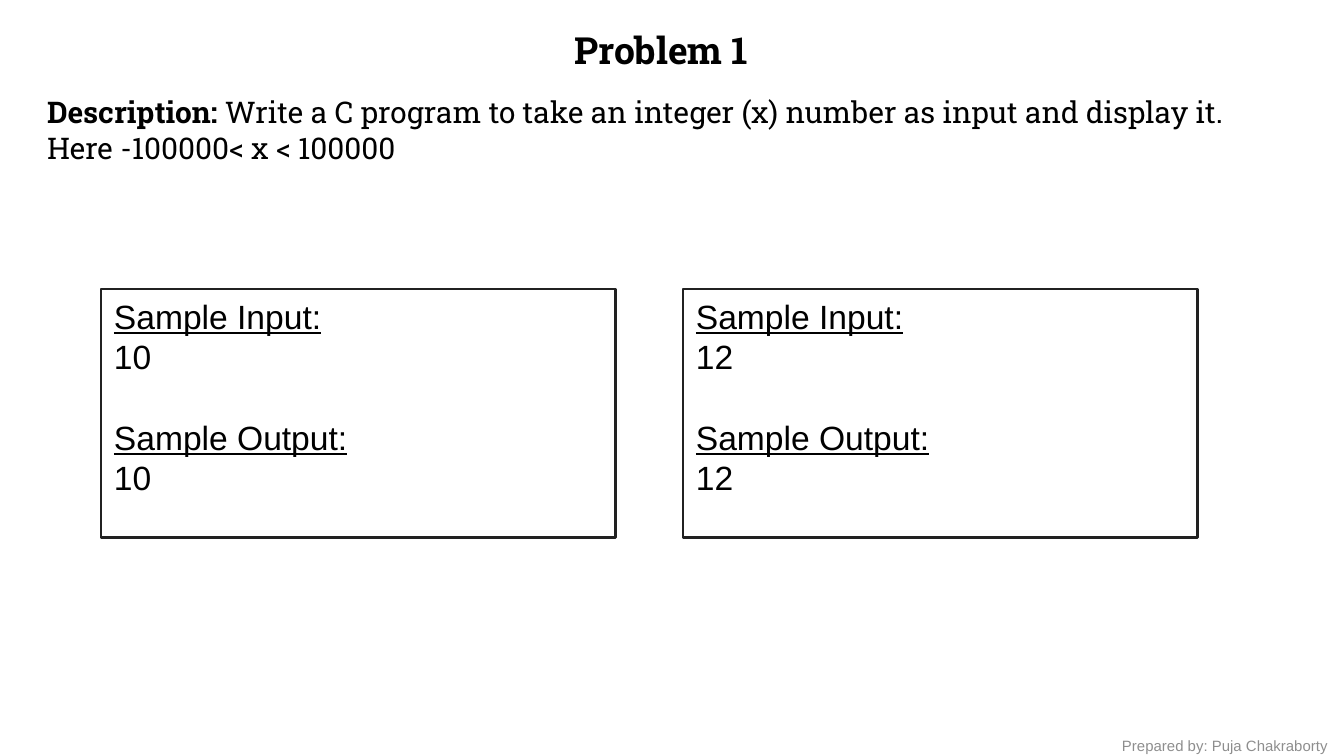
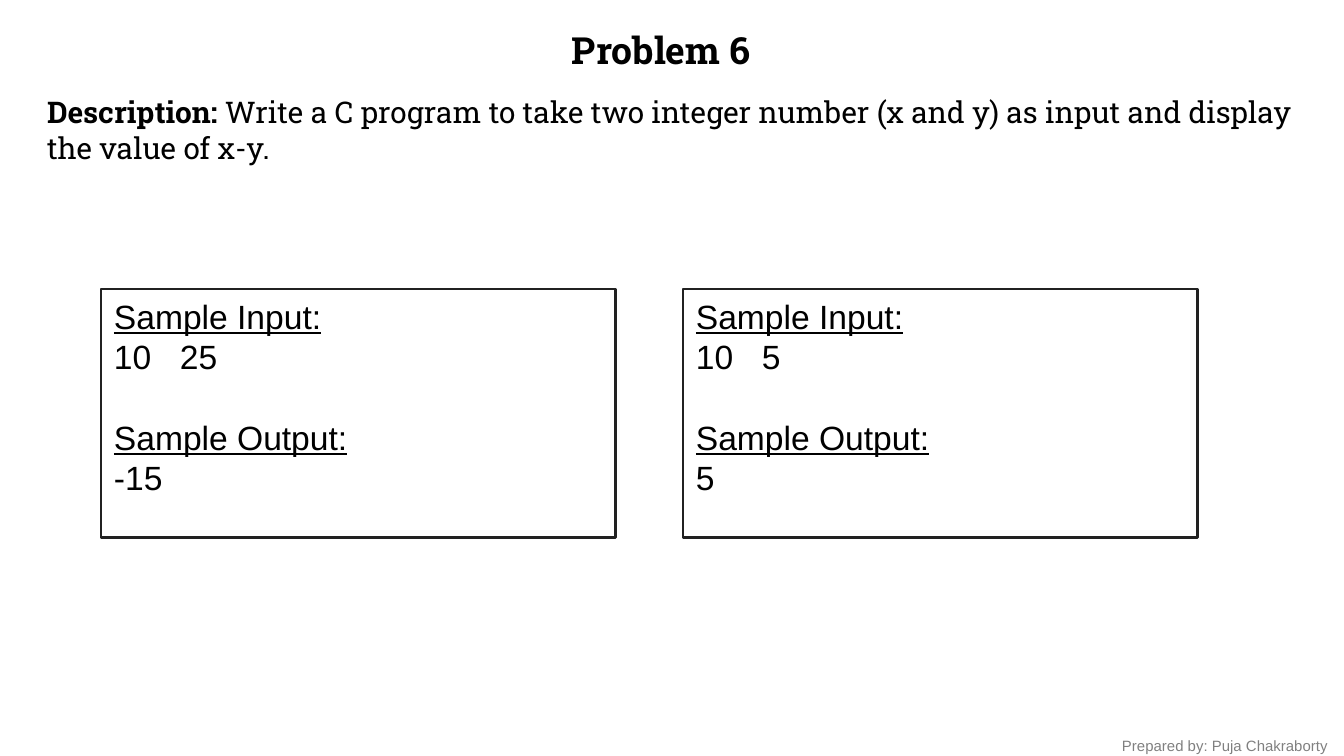
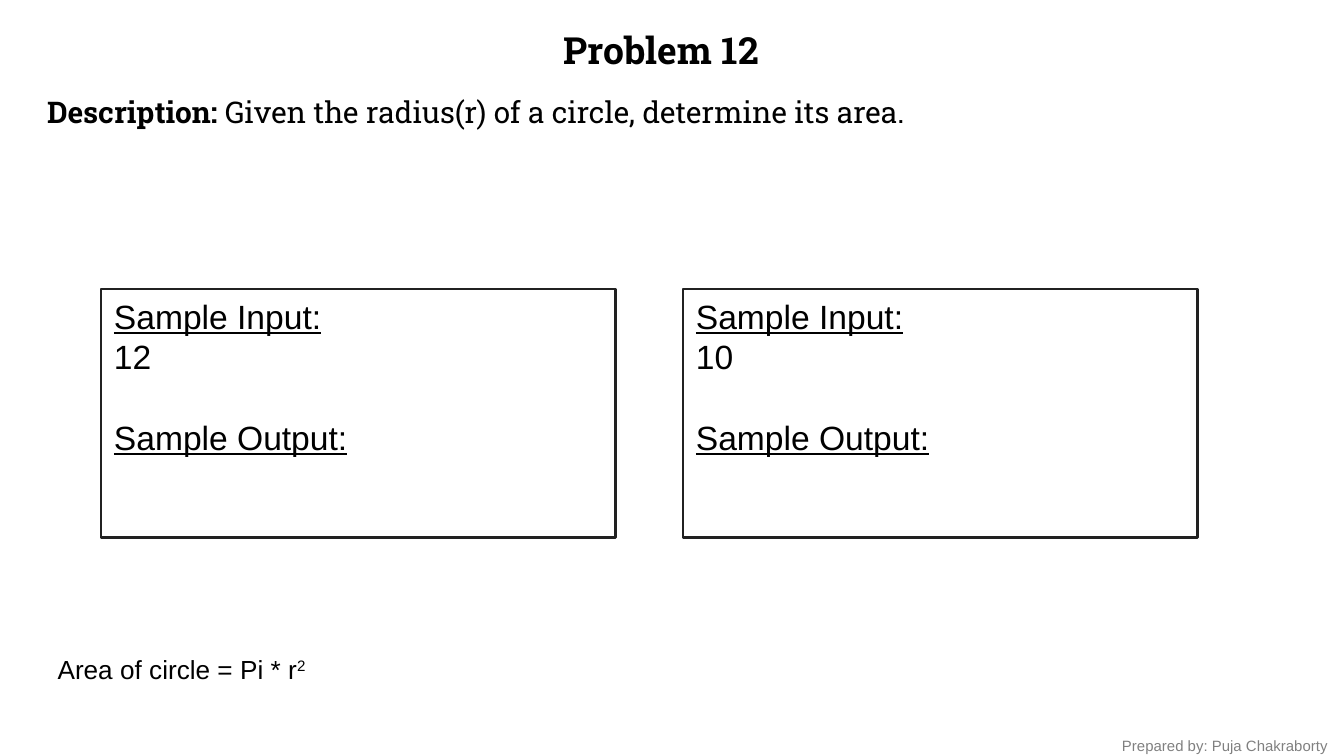
from lxml import etree
from pptx import Presentation
from pptx.dml.color import RGBColor
from pptx.enum.shapes import MSO_SHAPE
from pptx.enum.text import MSO_ANCHOR, MSO_AUTO_SIZE, PP_ALIGN
from pptx.oxml.ns import qn
from pptx.util import Inches, Pt

COLORS = {"text": "000000", "border": "212121", "gray": "808080", "light_gray": "8E8E8E"}
HEAD_FONT, BODY_FONT = "Roboto Slab", "Arial"
FOOTER = "Prepared by: Puja Chakraborty"

# samples: (input, output) pairs; a tab separates two inputs
PROBLEMS = [
    {
        "title": "Problem 1",
        "description": [
            "Write a C program to take an integer (x) number as input and display it.",
            "Here -100000< x < 100000",
        ],
        "samples": [("10", "10"), ("12", "12")],
        "footer_color": "light_gray",
    },
    {
        "title": "Problem 6",
        "description": [
            "Write a C program to take two integer number (x and y) as input "
            "and display the value of x-y.",
        ],
        "samples": [("10\t25", "-15"), ("10\t5", "5")],
        "footer_color": "gray",
    },
    {
        "title": "Problem 12",
        "description": ["Given the radius(r) of a circle, determine its area."],
        "samples": [("12", None), ("10", None)],
        "footer_color": "gray",
        "formula": ("Area of circle = Pi * r", "2"),
    },
]

SLIDE_W = 10
SLIDE_H = SLIDE_W * 9 / 16
TITLE_BOX = (2.17, 0.15, 5.5, 0.44)
DESCRIPTION_BOX = (0.25, 0.65, 9.58, 0.64)
FOOTER_BOX = (8.25, 5.43, 1.83, 0.24)
FORMULA_BOX = (0.33, 4.81, 2.92, 0.34)
SAMPLE_LEFT, SAMPLE_TOP, SAMPLE_W, SAMPLE_H, SAMPLE_GAP = 0.75, 2.15, 3.83, 1.85, 0.5
SECOND_INPUT_TAB = 0.49


def add_run(p, text, size, font=BODY_FONT, color="text", bold=False, underline=False):
    r = p.add_run()
    r.text = text
    r.font.name = font
    r.font.size = Pt(size)
    r.font.bold = bold
    r.font.underline = underline
    r.font.color.rgb = RGBColor.from_string(COLORS[color])
    return r


def place(sp, box):
    """Move a shape into its box and return its text frame, set to start at the top."""
    sp.left, sp.top, sp.width, sp.height = map(Inches, box)
    tf = sp.text_frame
    tf.word_wrap = True
    tf.auto_size = MSO_AUTO_SIZE.NONE
    tf.vertical_anchor = MSO_ANCHOR.TOP
    return tf


def paragraphs(tf, count):
    return [tf.paragraphs[0]] + [tf.add_paragraph() for _ in range(count - 1)]


def add_text(slide, box):
    sp = slide.shapes.add_textbox(*map(Inches, box))
    return place(sp, box).paragraphs[0]


def remove_bullet(p):
    pPr = p._p.get_or_add_pPr()
    pPr.set("marL", "0")
    pPr.set("indent", "0")
    etree.SubElement(pPr, qn("a:buNone"))


def add_tab_stop(p, inches):
    tabs = etree.SubElement(p._p.get_or_add_pPr(), qn("a:tabLst"))
    etree.SubElement(tabs, qn("a:tab"), pos=str(Inches(inches)), algn="l")


def add_description(sp, lines):
    tf = place(sp, DESCRIPTION_BOX)
    for i, (p, line) in enumerate(zip(paragraphs(tf, len(lines)), lines)):
        p.space_before = Pt(0)
        remove_bullet(p)
        if i == 0:
            add_run(p, "Description: ", 16, HEAD_FONT, bold=True)
        add_run(p, line, 16, HEAD_FONT)


def add_sample(slide, column, given, result):
    box = (SAMPLE_LEFT + column * (SAMPLE_W + SAMPLE_GAP), SAMPLE_TOP, SAMPLE_W, SAMPLE_H)
    sp = slide.shapes.add_shape(MSO_SHAPE.RECTANGLE, *map(Inches, box))
    sp.shadow.inherit = False
    sp.fill.background()
    sp.line.color.rgb = RGBColor.from_string(COLORS["border"])
    sp.line.width = Pt(1.25)
    lines = [("Sample Input:", True), (given, False), ("Sample Output:", True)]
    if result is not None:
        lines.append((result, False))
    ps = paragraphs(place(sp, box), len(lines))
    for p, (text, is_label) in zip(ps, lines):
        p.alignment = PP_ALIGN.LEFT
        add_run(p, text, 18, underline=is_label)
    ps[2].space_before = Pt(21.6)
    if "\t" in given:
        add_tab_stop(ps[1], SECOND_INPUT_TAB)


def add_problem(prs, problem):
    slide = prs.slides.add_slide(prs.slide_layouts[1])
    p = place(slide.shapes.title, TITLE_BOX).paragraphs[0]
    p.alignment = PP_ALIGN.CENTER
    add_run(p, problem["title"], 20, HEAD_FONT, bold=True)
    add_description(slide.placeholders[1], problem["description"])
    add_run(add_text(slide, FOOTER_BOX), FOOTER, 8, color=problem["footer_color"])
    for column, (given, result) in enumerate(problem["samples"]):
        add_sample(slide, column, given, result)
    if "formula" in problem:
        base, exponent = problem["formula"]
        p = add_text(slide, FORMULA_BOX)
        add_run(p, base, 14)
        r = add_run(p, exponent, 14)
        r.font._element.set("baseline", "30000")


def main():
    prs = Presentation()
    prs.slide_width, prs.slide_height = Inches(SLIDE_W), Inches(SLIDE_H)
    for problem in PROBLEMS:
        add_problem(prs, problem)
    prs.save("out.pptx")


if __name__ == "__main__":
    main()
